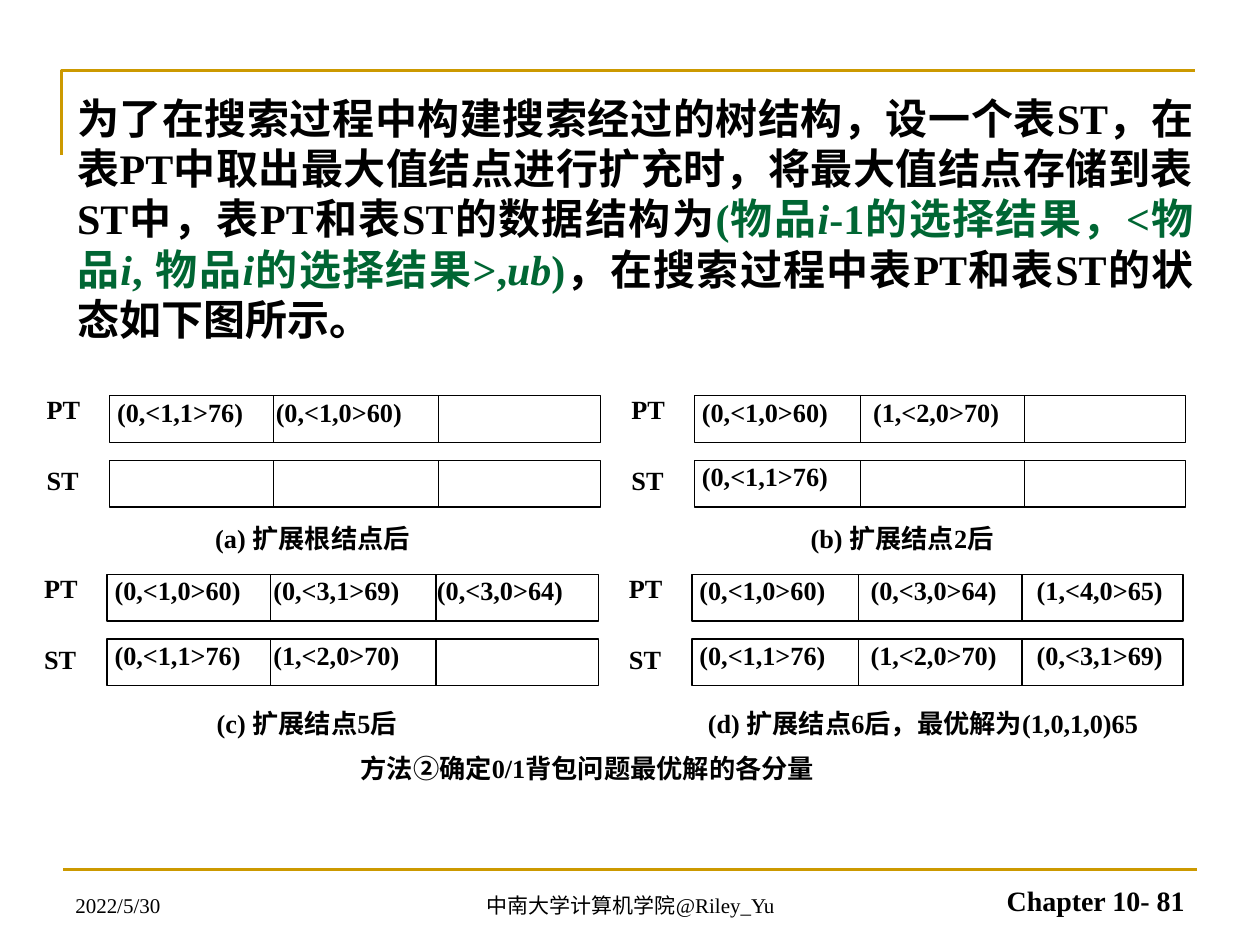
from lxml import etree
from pptx import Presentation
from pptx.dml.color import RGBColor
from pptx.enum import shapes, text
from pptx.oxml import ns
from pptx.util import Cm, Pt

BLACK = RGBColor(0x00, 0x00, 0x00)
GREEN = RGBColor(0x00, 0x66, 0x33)
GOLD = RGBColor(0xCC, 0x99, 0x00)
FONT = "Times New Roman"
ALIGN = text.PP_ALIGN

# Runs of the introduction: text, colour, italic
INTRO = [
    ("为了在搜索过程中构建搜索经过的树结构，设一个表ST，在表PT中取出最大值结点进行扩充时，"
     "将最大值结点存储到表ST中，表PT和表ST的数据结构为", BLACK, False),
    ("(物品", GREEN, False),
    ("i", GREEN, True),
    ("-1的选择结果，<物品", GREEN, False),
    ("i", GREEN, True),
    (", 物品", GREEN, False),
    ("i", GREEN, True),
    ("的选择结果>,", GREEN, False),
    ("ub", GREEN, True),
    (")", GREEN, False),
    ("，在搜索过程中表PT和表ST的状态如下图所示。", BLACK, False),
]

# Each row of panels: left and right panel, each with its PT and ST entries
PANELS = [
    [
        (["(0,<1,1>76)", "(0,<1,0>60)"], []),
        (["(0,<1,0>60)", "(1,<2,0>70)"], ["(0,<1,1>76)"]),
    ],
    [
        (["(0,<1,0>60)", "(0,<3,1>69)", "(0,<3,0>64)"],
         ["(0,<1,1>76)", "(1,<2,0>70)"]),
        (["(0,<1,0>60)", "(0,<3,0>64)", "(1,<4,0>65)"],
         ["(0,<1,1>76)", "(1,<2,0>70)", "(0,<3,1>69)"]),
    ],
]
CAPTIONS = [
    ("(a) 扩展根结点后", "(b) 扩展结点2后"),
    ("(c) 扩展结点5后", "(d) 扩展结点6后，最优解为(1,0,1,0)65"),
]
CONCLUSION = "方法②确定0/1背包问题最优解的各分量"

# Geometry in centimetres
PANEL_LEFTS = [2.21, 14]
PANEL_TOPS = [7.98, 11.58]
ROW_SHIFT = -0.05
STRIP_WIDTH, STRIP_HEIGHT, STRIP_PITCH = 9.9, 0.94, 1.3
DIVIDERS = [(3.3, 6.63), (3.35, 6.65)]
ENTRY_TABS = [(3.2, 6.5), (3.45, 6.8)]
CAPTION_BOXES = [(4.34, 10.52, 16.89, 0.99, 12), (4.37, 14.25, 19.2, 2.59, 9.9)]

# Text, left, width, alignment, size, bold
FOOTERS = [
    ("2022/5/30", 1.27, 5.92, ALIGN.LEFT, 12, False),
    ("中南大学计算机学院@Riley_Yu", 8.69, 8.05, ALIGN.CENTER, 12, False),
    ("Chapter 10- 81", 18.21, 5.92, ALIGN.RIGHT, 16, True),
]


def add_span(para, words, size=15, bold=True, italic=False, color=BLACK):
    span = para.add_run()
    span.text = words
    font = span.font
    font.name, font.size, font.bold, font.italic = FONT, Pt(size), bold, italic
    font.color.rgb = color


def set_tabs(para, stops):
    tabs = etree.SubElement(para._p.get_or_add_pPr(), ns.qn("a:tabLst"))
    for stop in stops:
        etree.SubElement(tabs, ns.qn("a:tab"), pos=str(Cm(stop)), algn="l")


def write(box, paragraphs, tabs=(), align=ALIGN.JUSTIFY, inset=0,
          anchor=text.MSO_ANCHOR.TOP, gap=0, **style):
    """Fill a box with paragraphs; inset None keeps the default margins."""
    frame = box.text_frame
    frame.word_wrap = True
    frame.vertical_anchor = anchor
    if inset is not None:
        frame.margin_left = Cm(inset)
        frame.margin_top = frame.margin_right = frame.margin_bottom = 0
    for index, words in enumerate(paragraphs):
        para = frame.add_paragraph() if index else frame.paragraphs[0]
        para.alignment = align
        if index and gap:
            para.space_before = Pt(gap)
        if tabs:
            set_tabs(para, tabs)
        add_span(para, words, **style)
    return frame


def add_box(page, left, top, width, height):
    return page.shapes.add_textbox(Cm(left), Cm(top), Cm(width), Cm(height))


def add_line(page, x1, y1, x2, y2, color=BLACK, weight=0.75):
    line = page.shapes.add_connector(
        shapes.MSO_CONNECTOR.STRAIGHT, Cm(x1), Cm(y1), Cm(x2), Cm(y2))
    line.line.color.rgb = color
    line.line.width = Pt(weight)
    etree.SubElement(line._element.spPr, ns.qn("a:effectLst"))


def add_strip(page, left, top, entries, dividers, tabs):
    """Draw one three-cell strip with its entries."""
    strip = page.shapes.add_shape(
        shapes.MSO_SHAPE.RECTANGLE, Cm(left), Cm(top), Cm(STRIP_WIDTH), Cm(STRIP_HEIGHT))
    strip.shadow.inherit = False
    strip.fill.background()
    strip.line.color.rgb = BLACK
    strip.line.width = Pt(0.75)
    if entries:
        write(strip, ["\t".join(entries)], tabs=tabs, inset=0.15)
    for offset in dividers:
        add_line(page, left + offset, top, left + offset, top + STRIP_HEIGHT)


def add_frame(page):
    builder = page.shapes.build_freeform(Cm(1.24), Cm(3.12))
    builder.add_line_segments([(Cm(1.24), Cm(1.42)), (Cm(24.1), Cm(1.42))], close=False)
    corner = builder.convert_to_shape()
    corner.shadow.inherit = False
    corner.fill.background()
    corner.line.color.rgb = GOLD
    corner.line.width = Pt(1.5)
    add_line(page, 1.27, 17.53, 24.13, 17.53, GOLD, 1.5)


def add_intro(page):
    body = page.placeholders[1]
    body.left, body.top, body.width, body.height = Cm(1.3), Cm(1.73), Cm(23.01), Cm(5.38)
    body.text_frame.auto_size = text.MSO_AUTO_SIZE.SHAPE_TO_FIT_TEXT
    para = body.text_frame.paragraphs[0]
    para.alignment = ALIGN.JUSTIFY
    para.space_before = Pt(0)
    props = para._p.get_or_add_pPr()
    props.set("marL", "0")
    props.set("indent", "0")
    etree.SubElement(props, ns.qn("a:buNone"))
    for words, color, italic in INTRO:
        add_span(para, words, size=24, color=color, italic=italic)


def add_panels(page):
    for row, panels in enumerate(PANELS):
        top = PANEL_TOPS[row]
        for column, strips in enumerate(panels):
            left = PANEL_LEFTS[column] + row * ROW_SHIFT
            for index, entries in enumerate(strips):
                add_strip(page, left, top + index * STRIP_PITCH, entries,
                          DIVIDERS[column], ENTRY_TABS[column])
            labels = add_box(page, left - 1.27, top - 0.05, 0.86, 2.21)
            write(labels, ["PT", "ST"], gap=22.5)


def add_captions(page):
    for row, (left, top, width, height, tab) in enumerate(CAPTION_BOXES):
        write(add_box(page, left, top, width, height), ["\t".join(CAPTIONS[row])], tabs=[tab])
    closing = page.shapes[-1].text_frame.add_paragraph()
    closing.alignment = ALIGN.JUSTIFY
    closing.space_before = Pt(7.8)
    closing._p.get_or_add_pPr().set("marL", str(Cm(2.9)))
    add_span(closing, CONCLUSION)


def main():
    deck = Presentation()
    deck.slide_width, deck.slide_height = Cm(25.4), Cm(19.05)
    page = deck.slides.add_slide(deck.slide_layouts[1])
    title = page.shapes.title._element
    title.getparent().remove(title)
    add_frame(page)
    add_intro(page)
    add_panels(page)
    add_captions(page)
    for words, left, width, align, size, bold in FOOTERS:
        write(add_box(page, left, 17.35, width, 1.27), [words], align=align, inset=None,
              anchor=text.MSO_ANCHOR.BOTTOM, size=size, bold=bold)
    deck.save("out.pptx")


if __name__ == "__main__":
    main()
